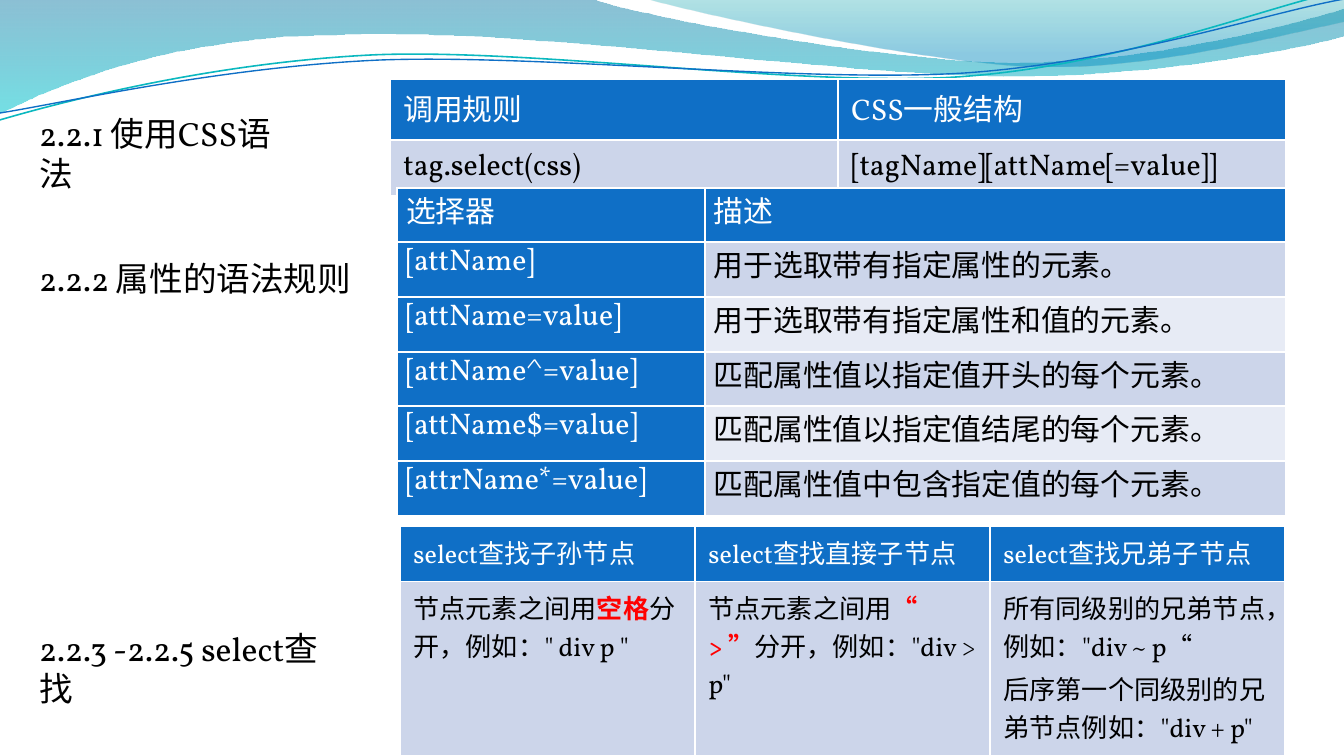
"""Build a slide on CSS selector syntax: three labelled tables under a wave banner."""
from math import cos, radians, sin

from pptx import Presentation
from pptx.dml.color import RGBColor
from pptx.enum.text import MSO_AUTO_SIZE
from pptx.oxml import parse_xml
from pptx.oxml.ns import nsdecls
from pptx.util import Pt

FIT_SHAPE = MSO_AUTO_SIZE.SHAPE_TO_FIT_TEXT
EMU_PER_PX = 914400 / 134.4
SLIDE_W, SLIDE_H = 1344, 756
FONT = "Vollkorn"
COLORS = {
    "head": "0F6FC6", "band": "CCD5EA", "light": "E7EBF5", "white": "FFFFFF",
    "black": "000000", "red": "FF0000", "teal": "0AB8BF", "blue": "0F6FC6",
}

WAVES = [
    {"start": (0, 0), "stops": [(0, "0074A1", 45), (100, "00C6CF", 55)], "path": [
        [(591, -1)],
        [(640, 17), (892, 63), (1019, 63)],
        [(1146, 63), (1288, 26), (1344, 9)],
        [(1345, 36)],
        [(1321, 44), (1169, 77), (1003, 77)],
        [(836, 75), (513, 28), (345, 35)],
        [(173, 36), (62, 83), (-1, 114)],
        [(0, 0)]]},
    {"start": (644, -1), "stops": [(0, "00A1A9", 30), (80, "008BBF", 45)], "path": [
        [(684, 11), (917, 62), (1034, 66)],
        [(1150, 70), (1292, 32), (1344, 22)],
        [(1344, 0)],
        [(644, -1)]]},
    {"start": (0, 120), "line": ("teal", 0.85), "turn": 2.7, "center": (671, 58), "path": [
        [(65, 101), (212, 63), (372, 55)],
        [(532, 48), (796, 87), (957, 77)],
        [(1120, 66), (1262, 8), (1341, -9)]]},
    {"start": (0, 113), "line": ("blue", 0.75), "turn": 2.7, "center": (671, 60), "path": [
        [(63, 103), (220, 67), (380, 60)],
        [(542, 54), (802, 83), (964, 73)],
        [(1124, 62), (1265, 13), (1344, -1)]]},
]

LABELS = [
    ("2.2.1 使用CSS语法", 106, 289),
    ("2.2.2 属性的语法规则", 251, 340),
    ("2.2.3 -2.2.5 select查找", 621, 337),
]
LABEL_LEFT, LABEL_H, LABEL_SIZE = 26, 54, 18

TABLES = [
    {"at": (390, 79), "cols": [448, 448], "heights": [49, 49], "size": 16, "rows": [
        ["调用规则", "CSS一般结构"],
        ["tag.select(css)", "[tagName][attName[=value]]"]]},
    {"at": (397, 188), "cols": [308, 581], "heights": [54, 55, 55, 54, 55, 55], "size": 16,
     "margins": (9, 0), "head_col": True, "rows": [
         ["选择器", "描述"],
         ["[attName]", "用于选取带有指定属性的元素。"],
         ["[attName=value]", "用于选取带有指定属性和值的元素。"],
         ["[attName^=value]", "匹配属性值以指定值开头的每个元素。"],
         ["[attName$=value]", "匹配属性值以指定值结尾的每个元素。"],
         ["[attrName*=value]", "匹配属性值中包含指定值的每个元素。"]]},
    {"at": (400, 526), "cols": [295, 295, 295], "heights": [52, 171], "size": 14, "rows": [
        ["select查找子孙节点", "select查找直接子节点", "select查找兄弟子节点"],
        [[["节点元素之间用", ("空格",), "分开，例如：\" div p \""]],
         [["节点元素之间用", ("“ > ”",), "分开，例如：\"div > p\""]],
         [["所有同级别的兄弟节点，例如：\"div ~ p“"],
          ["后序第一个同级别的兄弟节点例如：\"div + p\""]]]]},
]


def px(value):
    return round(value * EMU_PER_PX)


def rgb(name):
    return RGBColor.from_string(COLORS[name])


def turned(point, center, degrees):
    (x, y), (cx, cy), a = point, center, radians(degrees)
    dx, dy = x - cx, y - cy
    return px(cx + dx * cos(a) - dy * sin(a)), px(cy + dx * sin(a) + dy * cos(a))


def gradient(stops):
    marks = "".join(
        f'<a:gs pos="{pos * 1000}"><a:srgbClr val="{color}">'
        f'<a:alpha val="{alpha * 1000}"/></a:srgbClr></a:gs>'
        for pos, color, alpha in stops)
    return parse_xml(f'<a:gradFill {nsdecls("a")} rotWithShape="1"><a:gsLst>{marks}</a:gsLst>'
                     '<a:lin ang="5400000" scaled="0"/></a:gradFill>')


def bend(sp, segments):
    lines = sp._element.spPr.findall(".//{*}lnTo")
    for line, segment in zip(lines, segments):
        if len(segment) == 3:
            points = "".join(f'<a:pt x="{x - sp.left}" y="{y - sp.top}"/>' for x, y in segment)
            curve = parse_xml(f'<a:cubicBezTo {nsdecls("a")}>{points}</a:cubicBezTo>')
            line.getparent().replace(line, curve)


def add_wave(shapes, wave):
    turn, center = wave.get("turn", 0), wave.get("center", (0, 0))
    segments = [[turned(pt, center, turn) for pt in segment] for segment in wave["path"]]
    builder = shapes.build_freeform(*turned(wave["start"], center, turn))
    builder.add_line_segments([segment[-1] for segment in segments], close="stops" in wave)
    sp = builder.convert_to_shape()
    bend(sp, segments)
    sp.rotation = -turn
    sp.shadow.inherit = False
    sp.fill.background()
    if "stops" in wave:
        sp.line.fill.background()
        none = sp._element.spPr.find("{*}noFill")
        none.getparent().replace(none, gradient(wave["stops"]))
    else:
        color, width = wave["line"]
        sp.line.color.rgb = rgb(color)
        sp.line.width = Pt(width)


def add_run(p, text, size, color="black", bold=False):
    r = p.add_run()
    r.text = text
    r.font.color.rgb = rgb(color)
    for name, value in {"size": Pt(size), "name": FONT, "bold": bold}.items():
        setattr(r.font, name, value)


def fill_cell(cell, content, table, row, col):
    head = row == 0 or ("head_col" in table and col == 0)
    cell.fill.solid()
    cell.fill.fore_color.rgb = rgb("head" if head else "band" if row % 2 else "light")
    if "margins" in table:
        side, top = map(px, table["margins"])
        for name, value in {"left": side, "right": side, "top": top, "bottom": top}.items():
            setattr(cell, f"margin_{name}", value)
    tf = cell.text_frame
    for i, runs in enumerate([[content]] if isinstance(content, str) else content):
        p = tf.add_paragraph() if i else tf.paragraphs[0]
        for run in runs:
            if isinstance(run, tuple):
                add_run(p, run[0], table["size"], "red", True)
            else:
                add_run(p, run, table["size"], "white" if head else "black")


def add_grid(shapes, table):
    cols, heights = table["cols"], table["heights"]
    box = [px(v) for v in (*table["at"], sum(cols), sum(heights))]
    grid = shapes.add_table(len(heights), len(cols), *box).table
    for column, width in zip(grid.columns, cols):
        column.width = px(width)
    for line, height in zip(grid.rows, heights):
        line.height = px(height)
    for row, contents in enumerate(table["rows"]):
        for col, content in enumerate(contents):
            fill_cell(grid.cell(row, col), content, table, row, col)


def add_label(shapes, text, top, width):
    tf = shapes.add_textbox(*map(px, (LABEL_LEFT, top, width, LABEL_H))).text_frame
    tf.word_wrap = True
    tf.auto_size = FIT_SHAPE
    add_run(tf.paragraphs[0], text, LABEL_SIZE)


def main():
    prs = Presentation()
    prs.slide_width, prs.slide_height = px(SLIDE_W), px(SLIDE_H)
    shapes = prs.slides.add_slide(prs.slide_layouts[6]).shapes
    for wave in WAVES:
        add_wave(shapes, wave)
    for table in TABLES:
        add_grid(shapes, table)
    for label in LABELS:
        add_label(shapes, *label)
    prs.save("out.pptx")


if __name__ == "__main__":
    main()
